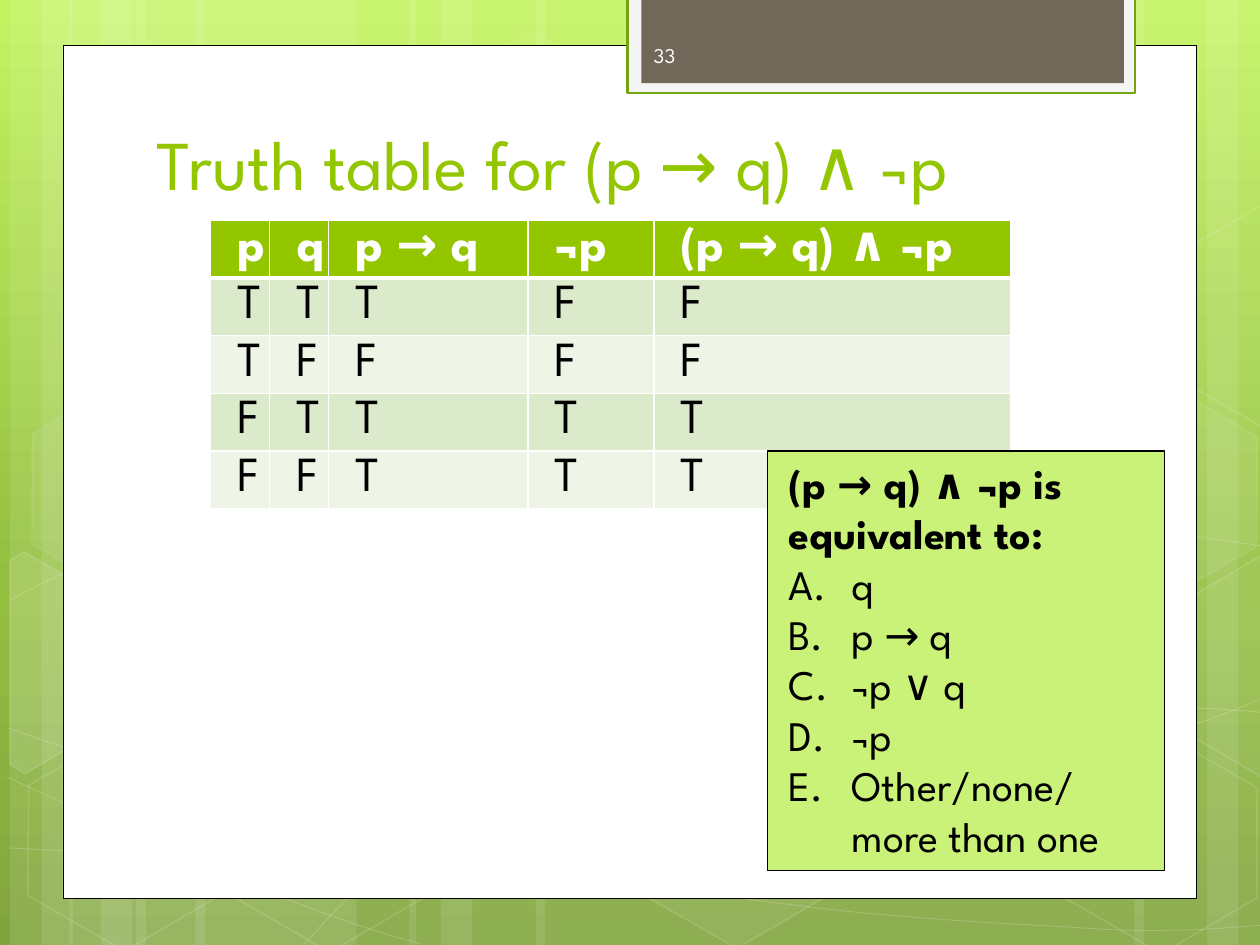
from copy import deepcopy

from lxml import etree
from pptx import Presentation
from pptx.dml.color import RGBColor
from pptx.enum.shapes import MSO_SHAPE
from pptx.enum.text import MSO_ANCHOR, PP_ALIGN
from pptx.oxml.ns import qn
from pptx.util import Inches, Pt

RECT, HEXAGON = MSO_SHAPE.RECTANGLE, MSO_SHAPE.HEXAGON
TOP, MIDDLE, BOTTOM = MSO_ANCHOR.TOP, MSO_ANCHOR.MIDDLE, MSO_ANCHOR.BOTTOM
LEFT = PP_ALIGN.LEFT

WHITE = RGBColor(0xFF, 0xFF, 0xFF)
OFF_WHITE = RGBColor(0xFE, 0xFE, 0xFE)
BLACK = RGBColor(0, 0, 0)
GREEN = RGBColor(0x94, 0xC6, 0x00)
DARK_GREEN = RGBColor(0x74, 0xA5, 0x10)
LIME = RGBColor(0xCA, 0xF2, 0x78)
BROWN = RGBColor(0x71, 0x68, 0x5A)
PALE_GREY = RGBColor(0xF5, 0xF5, 0xF5)
ROW_FILLS = [RGBColor(0xDC, 0xEA, 0xCC), RGBColor(0xEE, 0xF5, 0xE7)]
FONT = "League Spartan"

# Content
TITLE = "Truth table for (p → q) ∧ ¬p"
PAGE = "33"
HEADER = ["p", "q", "p → q", "¬p", "(p → q) ∧ ¬p"]
TRUTH_ROWS = ["TTTFF", "TFFFF", "FTTTT", "FFTTT"]
COLUMN_WIDTHS = [0.46, 0.46, 1.58, 1, 2.83]
QUESTION = "(p → q) ∧ ¬p is equivalent to:"
ANSWERS = ["q", "p → q", "¬p ∨ q", "¬p", "Other/none/more than one"]

# Background decoration
GRADIENT = [(0, RGBColor(0xC3, 0xF3, 0x5F)), (0.62, RGBColor(0x93, 0xBF, 0x3F)),
            (1, RGBColor(0x81, 0xA5, 0x3E))]
BANDS = [(1.08, 1.75), (0.08, 0.5), (0.33, 0.83), (1.55, 1.75), (0.55, 0.5), (0.8, 0.83),
         (7.33, 1.75), (9.58, 0.5), (9, 0.83), (4.25, 3.08), (3.25, 0.5), (3.5, 0.83)]
# Each curve: a start point, then triples of Bezier points
CURVES = [
    [(0.07, 6.73), (0.61, 6.76), (1.15, 6.79), (1.9, 6.78), (2.65, 6.77), (3.58, 6.75),
     (4.58, 6.65), (5.58, 6.55), (7, 6.36), (7.92, 6.17), (8.83, 5.98), (9.77, 5.68),
     (10.07, 5.51)],
    [(0.07, 4.77), (0.36, 4.61), (0.65, 4.46), (1.21, 4.31), (1.78, 4.16), (2.59, 3.94),
     (3.47, 3.87), (4.36, 3.8), (5.44, 3.79), (6.54, 3.87), (7.64, 3.95), (9.47, 4.26),
     (10.07, 4.34)],
    [(0.06, 6.17), (1.27, 6.72), (2.47, 7.27), (3.34, 7.49)],
    [(0.07, 5.78), (0.38, 5.89), (0.7, 6), (1.28, 6.16), (1.86, 6.31), (2.73, 6.56),
     (3.57, 6.73), (4.4, 6.9), (5.45, 7.08), (6.28, 7.18), (7.11, 7.29), (8, 7.33),
     (8.53, 7.36), (9.05, 7.4), (9.19, 7.38), (9.45, 7.38), (9.71, 7.37), (9.89, 7.35),
     (10.07, 7.34)],
    [(2.42, 7.49), (2.6, 7.29), (2.78, 7.09), (3.02, 6.91), (3.26, 6.73), (3.6, 6.53),
     (3.88, 6.39), (4.16, 6.25), (4.33, 6.19), (4.7, 6.09), (5.06, 5.99), (5.73, 5.85),
     (6.08, 5.78), (6.44, 5.71), (6.49, 5.71), (6.8, 5.69), (7.11, 5.66), (7.6, 5.63),
     (7.94, 5.62), (8.29, 5.61), (8.86, 5.62), (8.86, 5.62), (9.1, 5.62), (9.3, 5.62),
     (9.53, 5.62), (9.71, 5.63), (9.88, 5.64), (9.97, 5.65), (10.06, 5.66), (10.03, 5.65),
     (10.06, 5.66)],
]
# left, top, fill opacity, line opacity (percent)
HEXAGONS = [(3.34, 0.36, 4, 8), (4.97, 5.89, 6, 12), (0.11, 5.91, 0, 12), (0.14, 3.12, 7, 8),
            (1.74, 5.92, 0, 12), (7.53, 4.53, 10, 12), (8.34, 5.93, 0, 12), (8.34, 3.14, 7, 8)]
# Hexagons cut by the slide's edge: points, fill opacity
CUT_HEXAGONS = [
    ([(0.08, 4.45), (0.19, 4.38), (0.96, 4.82), (0.95, 5.7), (0.2, 6.14), (0.08, 6.07)], 10),
    ([(9.26, 4.85), (10.01, 4.41), (10.09, 4.46), (10.09, 6.13), (10.02, 6.17), (9.26, 5.73)], 4),
    ([(9.26, 2.07), (10.01, 1.63), (10.1, 1.68), (10.09, 3.35), (10.02, 3.39), (9.26, 2.95)], 0),
]


def set_color(fill, color, parent, opacity):
    """Fill with a colour; opacity is in percent, and 0 means no fill."""
    if not opacity:
        fill.background()
        return
    fill.solid()
    fill.fore_color.rgb = color
    if opacity < 100:
        clr = parent.find(qn("a:solidFill"))[0]
        etree.SubElement(clr, qn("a:alpha"), val=str(opacity * 1000))


def paint(shape, fill, line=None, width=0, fill_opacity=100, line_opacity=100):
    shape.shadow.inherit = False
    spPr = shape.element.spPr
    set_color(shape.fill, fill, spPr, fill_opacity)
    if line is None:
        shape.line.fill.background()
        return
    shape.line.width = Pt(width)
    set_color(shape.line.fill, line, spPr.find(qn("a:ln")), line_opacity)


def add_box(s, kind, box, *args, **kwargs):
    shape = s.shapes.add_shape(kind, *map(Inches, box))
    paint(shape, *args, **kwargs)
    return shape


def add_outline(s, points, close):
    pts = [(Inches(x), Inches(y)) for x, y in points]
    builder = s.shapes.build_freeform(*pts[0])
    builder.add_line_segments(pts[1:], close=close)
    return builder.convert_to_shape()


def add_curve(s, points):
    """Add an open outline and join each three of its points into a Bezier segment."""
    shape = add_outline(s, points, False)
    lines = list(shape.element.iter(qn("a:lnTo")))
    for i in range(0, len(lines), 3):
        bezier = etree.Element(qn("a:cubicBezTo"))
        lines[i].addprevious(bezier)
        for line in lines[i:i + 3]:
            bezier.append(line[0])
            line.getparent().remove(line)
    return shape


def write(p, text, size, color, bold=False):
    p.alignment = LEFT
    r = p.add_run()
    r.text = text
    for name, value in {"name": FONT, "size": Pt(size), "bold": bold}.items():
        setattr(r.font, name, value)
    r.font.color.rgb = color


def add_background(s):
    fill = s.background.fill
    fill.gradient()
    fill.gradient_angle = 270
    first = next(s.element.iter(qn("a:gs")))
    first.addnext(deepcopy(first))
    for stop, (position, color) in zip(fill.gradient_stops, GRADIENT):
        stop.position = position
        stop.color.rgb = color
    for left, width in BANDS:
        add_box(s, RECT, (left, 0, width, 7.5), WHITE, fill_opacity=10)
    for curve in CURVES:
        paint(add_curve(s, curve), WHITE, WHITE, 0.5, 0, 20)
    for left, top, fill_opacity, line_opacity in HEXAGONS:
        shape = add_box(s, HEXAGON, (left, top, 1.75, 1.52), WHITE, WHITE, 1,
                        fill_opacity, line_opacity)
        shape.adjustments[0] = 0.285
        shape.rotation = 30
    for points, fill_opacity in CUT_HEXAGONS:
        paint(add_outline(s, points, True), WHITE, WHITE, 1, fill_opacity, 12)
    add_box(s, RECT, (0.5, 0.36, 9, 6.77), WHITE, BLACK, 0.5)
    add_box(s, RECT, (4.98, -0.02, 4.03, 0.76), PALE_GREY, DARK_GREEN, 1.25)
    add_box(s, RECT, (5.09, -0.02, 3.83, 0.68), BROWN)


def add_title(s):
    title = s.shapes.title
    s.shapes.element.append(title.element)  # in front of the white panel
    title.left, title.top, title.width, title.height = map(Inches, (1.14, 0.42, 7.68, 1.25))
    title.text_frame.vertical_anchor = BOTTOM
    write(title.text_frame.paragraphs[0], TITLE, 40, GREEN)


def add_bottom_border(cell, color, width):
    ln = etree.Element(qn("a:lnB"), w=str(Pt(width)))
    solid = etree.SubElement(ln, qn("a:solidFill"))
    etree.SubElement(solid, qn("a:srgbClr"), val=str(color))
    cell._tc.get_or_add_tcPr().insert(0, ln)


def add_truth_table(s):
    rows = [HEADER, *TRUTH_ROWS]
    table = s.shapes.add_table(len(rows), len(HEADER), Inches(1.67), Inches(1.75),
                               Inches(sum(COLUMN_WIDTHS)), Inches(0.41 * len(rows))).table
    for column, width in zip(table.columns, COLUMN_WIDTHS):
        column.width = Inches(width)
    for i, row in enumerate(rows):
        for j, text in enumerate(row):
            cell = table.cell(i, j)
            cell.margin_left = cell.margin_right = Pt(15.5)
            cell.fill.solid()
            cell.fill.fore_color.rgb = ROW_FILLS[(i - 1) % 2] if i else GREEN
            if not i:
                add_bottom_border(cell, WHITE, 3)
            write(cell.text_frame.paragraphs[0], text, 28, BLACK if i else WHITE, not i)


def add_page_number(s):
    tf = s.shapes.add_textbox(*map(Inches, (5.09, 0.24, 1.46, 0.4))).text_frame
    tf.word_wrap = True
    tf.vertical_anchor = MIDDLE
    write(tf.paragraphs[0], PAGE, 12, OFF_WHITE)


def add_question(s):
    tf = add_box(s, RECT, (6.09, 3.58, 3.15, 3.33), LIME, BLACK, 0.75).text_frame
    tf.word_wrap = True
    tf.vertical_anchor = TOP
    for i, text in enumerate([QUESTION, *ANSWERS]):
        p = tf.add_paragraph() if i else tf.paragraphs[0]
        pPr = p._p.get_or_add_pPr()
        pPr.set("marL", str(Inches(0.57 if i else 0.07)))
        pPr.set("indent", str(Inches(-0.5 if i else 0)))
        if i:
            etree.SubElement(pPr, qn("a:buFont"), typeface="+mj-lt")
            etree.SubElement(pPr, qn("a:buAutoNum"), type="alphaUcPeriod")
        write(p, text, 24, BLACK, not i)


def main():
    prs = Presentation()
    prs.slide_width, prs.slide_height = Inches(10), Inches(7.5)
    s = prs.slides.add_slide(prs.slide_layouts[5])
    for add_part in (add_background, add_title, add_truth_table, add_page_number, add_question):
        add_part(s)
    prs.save("out.pptx")


if __name__ == "__main__":
    main()
